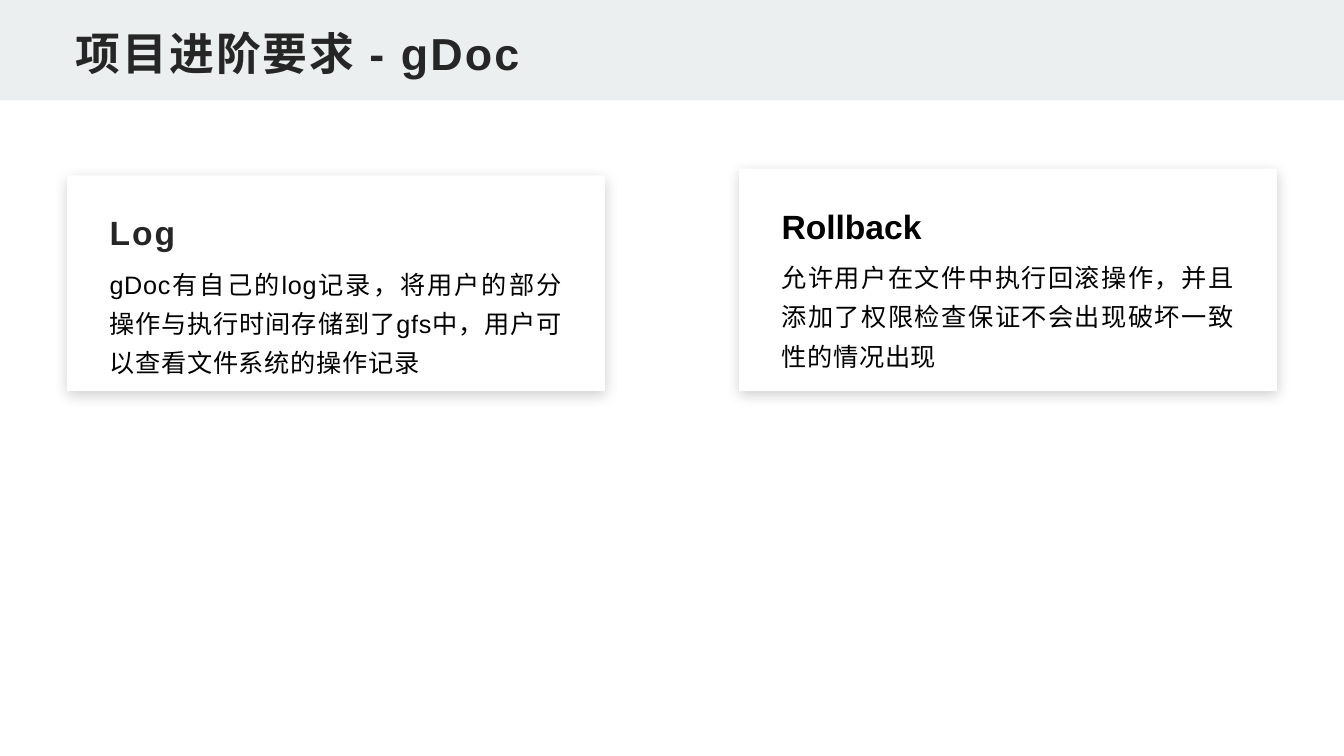
from lxml import etree
from pptx import Presentation
from pptx import util as u
from pptx.dml import color
from pptx.enum import shapes, text
from pptx.oxml import ns

deck = Presentation()
deck.slide_width, deck.slide_height = u.Inches(13.33), u.Inches(7.5)
COL, ROW = deck.slide_width / 20, deck.slide_height / 100
INK, BLACK, WHITE, BAND = "262626", "000000", "FFFFFF", "ECEFEF"


def paint(hue):
    return color.RGBColor.from_string(hue)


def grid(x, y, w, h):
    return [round(n) for n in (x * COL, y * ROW, w * COL, h * ROW)]


def block(slide, box, fill):
    part = slide.shapes.add_shape(shapes.MSO_SHAPE.RECTANGLE, *grid(*box))
    part.shadow.inherit = False
    part.fill.solid()
    part.fill.fore_color.rgb = paint(fill)
    part.line.fill.background()
    return part


def shade(part):
    glow = part._element.spPr.find(ns.qn("a:effectLst"))
    drop = etree.SubElement(glow, ns.qn("a:outerShdw"), blurRad=str(u.Pt(10)),
                            dist=str(u.Pt(3)), dir="5400000", algn="t", rotWithShape="0")
    tint = etree.SubElement(drop, ns.qn("a:srgbClr"), val="0D0D0D")
    etree.SubElement(tint, ns.qn("a:alpha"), val="20000")


def write(part, words, size, hue, bold, gap, side, anchor, pad=0.05):
    frame = part.text_frame
    frame.word_wrap = True
    frame.auto_size = text.MSO_AUTO_SIZE.NONE
    frame.vertical_anchor = anchor
    frame.margin_left = frame.margin_right = u.Inches(0.08)
    frame.margin_top = frame.margin_bottom = u.Inches(pad)
    line = frame.paragraphs[0]
    line.text, line.alignment = words, side
    font = line.font
    font.name, font.size, font.bold = "Arial", u.Pt(size), bold
    font.color.rgb = paint(hue)
    line._p.pPr.find(ns.qn("a:defRPr")).set("spc", str(gap))
    return line


def header(slide, box, words):
    x, y, w, h = box
    block(slide, box, BAND)
    title = slide.shapes.title
    title.left, title.top, title.width, title.height = grid(x + 1, y + h / 6, w - 2, h * 2 / 3)
    slide.shapes._spTree.append(title._element)
    write(title, words, 32, INK, True, 150, text.PP_ALIGN.LEFT, text.MSO_ANCHOR.BOTTOM, 0.04)


def card(slide, box, head, body, hue, gap):
    x, y, w, h = box
    shade(block(slide, box, WHITE))
    inset = 0.51
    note = slide.shapes.add_textbox(*grid(x + inset, y + 11.2, w - 2 * inset, 15.6))
    line = write(note, body, 18, BLACK, False, 50, text.PP_ALIGN.JUSTIFY,
                 text.MSO_ANCHOR.MIDDLE, 0)
    line.line_spacing, line.space_after = 1.3, u.Pt(8)
    label = slide.shapes.add_textbox(*grid(x + inset, y + h * 0.147, w - 2 * inset, 6.7))
    write(label, head, 24, hue, True, gap, text.PP_ALIGN.LEFT, text.MSO_ANCHOR.TOP)


page = deck.slides.add_slide(deck.slide_layouts[5])
header(page, (0, 0, 20, 13.3), "项目进阶要求 - gDoc")
BASE = 51.7
CARDS = [
    (1, 23.2, "Log", "gDoc有自己的log记录，将用户的部分操作与执行时间存储到了gfs中，用户可以查看文件系统的操作记录", INK, 150),
    (11, 22.3, "Rollback", "允许用户在文件中执行回滚操作，并且添加了权限检查保证不会出现破坏一致性的情况出现", BLACK, 0),
]
for left, top, *rest in CARDS:
    card(page, (left, top, 8, BASE - top), *rest)
deck.save("out.pptx")
